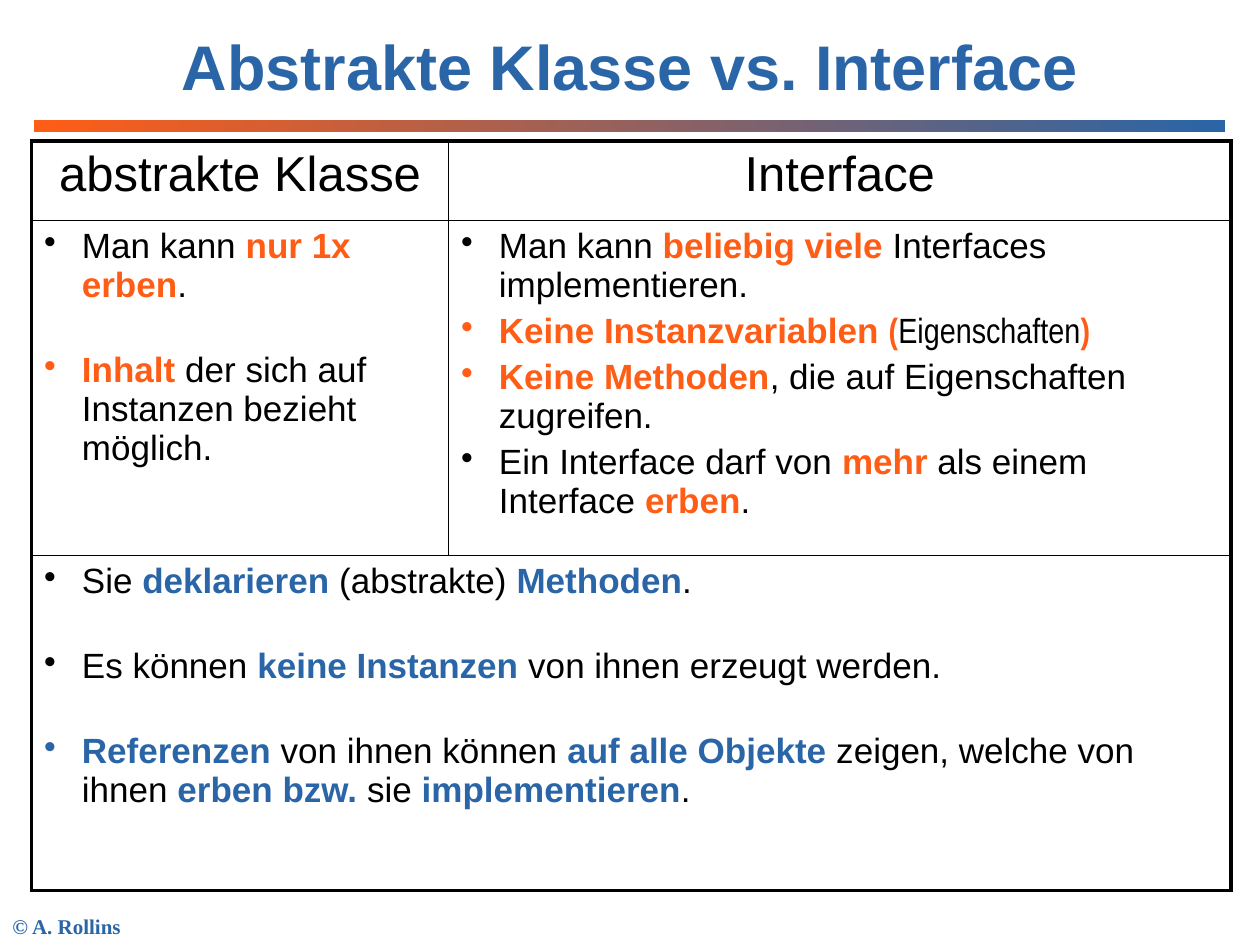
import pptx
import pptx.util
import pptx.dml.color
import pptx.enum.shapes
import pptx.enum.text
import pptx.oxml
import pptx.oxml.ns
from dataclasses import dataclass
from pptx.util import Inches


@dataclass(frozen=True)
class Theme:
    blue: str = "2965A7"
    orange: str = "FF5D15"
    black: str = "000000"
    sans: str = "Arial"
    narrow: str = "Arial Narrow"
    serif: str = "Times New Roman"
    title: int = 36
    head: int = 28
    body: int = 20
    small: int = 12
    thick: float = 2.25
    thin: float = 1


T = Theme()


def style(r, size, color, bold=False, font=T.sans):
    r.font.size = pptx.util.Pt(size)
    r.font.name = font
    r.font.bold = bold
    r.font.color.rgb = pptx.dml.color.RGBColor.from_string(color)


def add_xml(parent, xml, index):
    ns = pptx.oxml.ns.nsdecls("a")
    parent.insert(index, pptx.oxml.parse_xml(xml.replace(" ", f" {ns} ", 1)))


prs = pptx.Presentation()
prs.slide_width, prs.slide_height = Inches(10), Inches(7.5)
s = prs.slides.add_slide(prs.slide_layouts[6])

# Title and copyright line
for text, box, size, font, align in [
    ("© A. Rollins", (0, 7.2, 1.46, 0.3), T.small, T.serif, "LEFT"),
    ("Abstrakte Klasse vs. Interface", (0.75, 0, 8.5, 1.03), T.title, T.sans, "CENTER"),
]:
    tf = s.shapes.add_textbox(*[Inches(v) for v in box]).text_frame
    tf.word_wrap = True
    tf.vertical_anchor = pptx.enum.text.MSO_ANCHOR.MIDDLE
    p = tf.paragraphs[0]
    p.text = text
    p.alignment = pptx.enum.text.PP_ALIGN[align]
    style(p.runs[0], size, T.blue, True, font)

# Gradient bar under the title
sp = s.shapes.add_shape(pptx.enum.shapes.MSO_SHAPE.RECTANGLE,
                        Inches(0.27), Inches(0.95), Inches(9.45), Inches(0.1))
sp.shadow.inherit = False
sp.line.fill.background()
sp.fill.gradient()
sp.fill.gradient_angle = 0
for stop, color in zip(sp.fill.gradient_stops, (T.orange, T.blue)):
    stop.color.rgb = pptx.dml.color.RGBColor.from_string(color)

# Table grid
col_widths, row_heights = (3.31, 6.21), (0.63, 2.66, 2.66)
last_row, last_col = len(row_heights) - 1, len(col_widths) - 1
table = s.shapes.add_table(len(row_heights), len(col_widths), Inches(0.25), Inches(1.12),
                           Inches(sum(col_widths)), Inches(sum(row_heights))).table
table.first_row = table.horz_banding = False
for col, width in zip(table.columns, col_widths):
    col.width = Inches(width)
for row, height in zip(table.rows, row_heights):
    row.height = Inches(height)
table.cell(2, 0).merge(table.cell(2, 1))

# Borders: thick outside, thin inside
for i in range(last_row + 1):
    for j in range(last_col + 1):
        cell = table.cell(i, j)
        cell.fill.background()
        outer = {"L": j == 0, "R": j == last_col or cell.is_merge_origin,
                 "T": i == 0, "B": i == last_row}
        for n, (side, is_outer) in enumerate(outer.items()):
            width = pptx.util.Pt(T.thick if is_outer else T.thin)
            add_xml(cell._tc.get_or_add_tcPr(),
                    f'<a:ln{side} w="{width}"><a:solidFill><a:srgbClr val="{T.black}"/>'
                    f'</a:solidFill></a:ln{side}>', n)

# Header row
for j, text in enumerate(("abstrakte Klasse", "Interface")):
    p = table.cell(0, j).text_frame.paragraphs[0]
    p.text = text
    p.alignment = pptx.enum.text.PP_ALIGN.CENTER
    style(p.runs[0], T.head, T.black)

# Bullet cells: row, column, accent, space between points, lines with *accented* parts
narrow_parts = {"(", "Eigenschaften", ")"}
bullets = [
    (1, 0, T.orange, 26.3, [
        "Man kann *nur 1x erben*.",
        "*Inhalt *der sich auf Instanzen bezieht möglich.",
    ]),
    (1, 1, T.orange, 4, [
        "Man kann *beliebig viele* Interfaces implementieren.",
        "*Keine Instanzvariablen **(*Eigenschaften*)*",
        "*Keine Methoden*, die auf Eigenschaften zugreifen.",
        "Ein Interface darf von *mehr* als einem Interface *erben*.",
    ]),
    (2, 0, T.blue, 26.3, [
        "Sie *deklarieren *(abstrakte) *Methoden*.",
        "Es können *keine Instanzen* von ihnen erzeugt werden.",
        "*Referenzen *von ihnen können *auf alle Objekte* zeigen, welche von ihnen "
        "*erben bzw.* sie *implementieren*.",
    ]),
]
for i, j, accent, gap, lines in bullets:
    tf = table.cell(i, j).text_frame
    for n, line in enumerate(lines):
        p = tf.add_paragraph() if n else tf.paragraphs[0]
        p.space_before = pptx.util.Pt(gap if n else 0)
        pPr = p._p.get_or_add_pPr()
        pPr.set("marL", str(Inches(0.3)))
        pPr.set("indent", str(-Inches(0.3)))
        add_xml(pPr, '<a:buChar char="•"/>', len(pPr))
        for k, part in enumerate(line.split("*")):
            if part:
                r = p.add_run()
                r.text = part
                style(r, T.body, accent if k % 2 else T.black, k % 2 == 1,
                      T.narrow if part in narrow_parts else T.sans)

prs.save("out.pptx")
